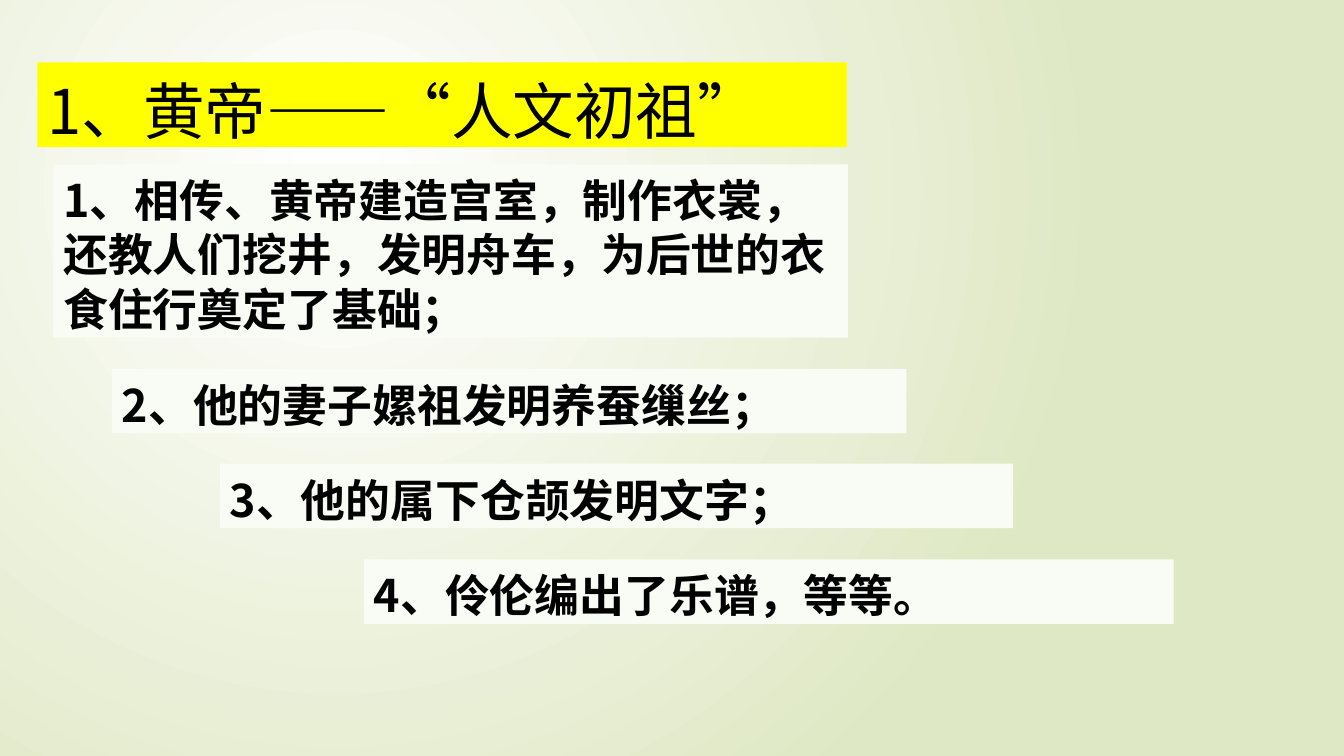
from dataclasses import dataclass

from pptx import Presentation
from pptx.dml.color import RGBColor
from pptx.enum.shapes import MSO_SHAPE as Shape
from pptx.enum.text import MSO_ANCHOR as Anchor, PP_ALIGN as Align
from pptx.oxml import parse_xml
from pptx.oxml.ns import nsdecls
from pptx.slide import Slide
from pptx.util import Inches, Pt

FONT = "Noto Sans CJK SC"
PALE = "F9FBF5"
YELLOW = "FFFF00"
BLACK = "000000"


@dataclass(frozen=True)
class Banner:
    text: str
    left: float
    top: float
    width: float
    height: float = 0.64
    fill: str = PALE
    size: float = 32
    line_height: float = 38.8
    bold: bool = True
    top_inset: float = 0.08
    bottom_inset: float = 0.02


BANNERS = [
    Banner("1、相传、黄帝建造宫室，制作衣裳，还教人们挖井，发明舟车，为后世的衣食住行奠定了基础；",
           0.53, 1.63, 7.88, height=1.72),
    Banner("2、他的妻子嫘祖发明养蚕缫丝；", 1.11, 3.66, 7.88),
    Banner("3、他的属下仓颉发明文字；", 2.18, 4.6, 7.87),
    Banner("4、伶伦编出了乐谱，等等。", 3.61, 5.55, 8.03),
    Banner("1、黄帝——“人文初祖”", 0.37, 0.62, 8.03, height=0.84, fill=YELLOW,
           size=44, line_height=53.3, bold=False, top_inset=0.1, bottom_inset=0),
]


def color(value: str) -> RGBColor:
    return RGBColor.from_string(value)


def paint_background(slide: Slide, center: str, edge: str) -> None:
    background = parse_xml(
        f'<p:bg {nsdecls("p", "a")}><p:bgPr><a:gradFill rotWithShape="1"><a:gsLst>'
        f'<a:gs pos="0"><a:srgbClr val="{center}"/></a:gs>'
        f'<a:gs pos="100000"><a:srgbClr val="{edge}"/></a:gs></a:gsLst>'
        '<a:path path="circle"><a:fillToRect l="50000" t="50000" r="100000" b="100000"/>'
        '</a:path></a:gradFill><a:effectLst/></p:bgPr></p:bg>'
    )
    slide.element.cSld.insert(0, background)


def draw_banner(slide: Slide, banner: Banner) -> None:
    panel = slide.shapes.add_shape(
        Shape.RECTANGLE, Inches(banner.left), Inches(banner.top),
        Inches(banner.width), Inches(banner.height),
    )
    panel.shadow.inherit = False
    panel.fill.solid()
    panel.fill.fore_color.rgb = color(banner.fill)
    panel.line.fill.background()

    frame = panel.text_frame
    frame.word_wrap = True
    frame.vertical_anchor = Anchor.TOP
    frame.margin_top = Inches(banner.top_inset)
    frame.margin_bottom = Inches(banner.bottom_inset)
    paragraph = frame.paragraphs[0]
    paragraph.alignment = Align.LEFT
    paragraph.line_spacing = Pt(banner.line_height)

    sentence = paragraph.add_run()
    sentence.text = banner.text
    sentence.font.size = Pt(banner.size)
    sentence.font.bold = banner.bold
    sentence.font.name = FONT
    sentence.font.color.rgb = color(BLACK)
    east_asian = parse_xml(f'<a:ea {nsdecls("a")} typeface="{FONT}"/>')
    sentence.font.language_id = None
    properties = sentence.font._element if hasattr(sentence.font, "_element") else sentence._r.rPr
    properties.find("{*}latin").addnext(east_asian)


def main() -> None:
    deck = Presentation()
    deck.slide_width = Inches(13.33)
    deck.slide_height = Inches(7.5)
    slide = deck.slides.add_slide(deck.slide_layouts[6])
    paint_background(slide, "FFFFFF", "DFE8C4")
    for banner in BANNERS:
        draw_banner(slide, banner)
    deck.save("out.pptx")


if __name__ == "__main__":
    main()
